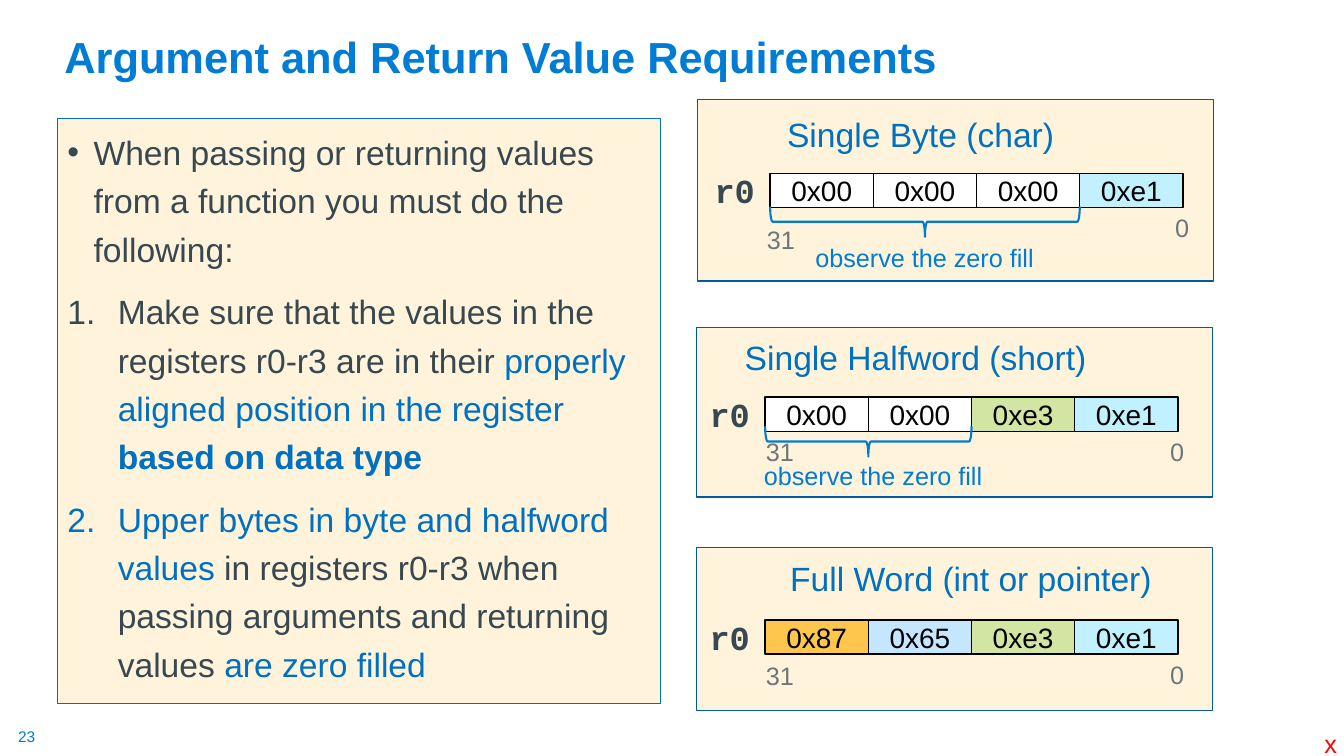
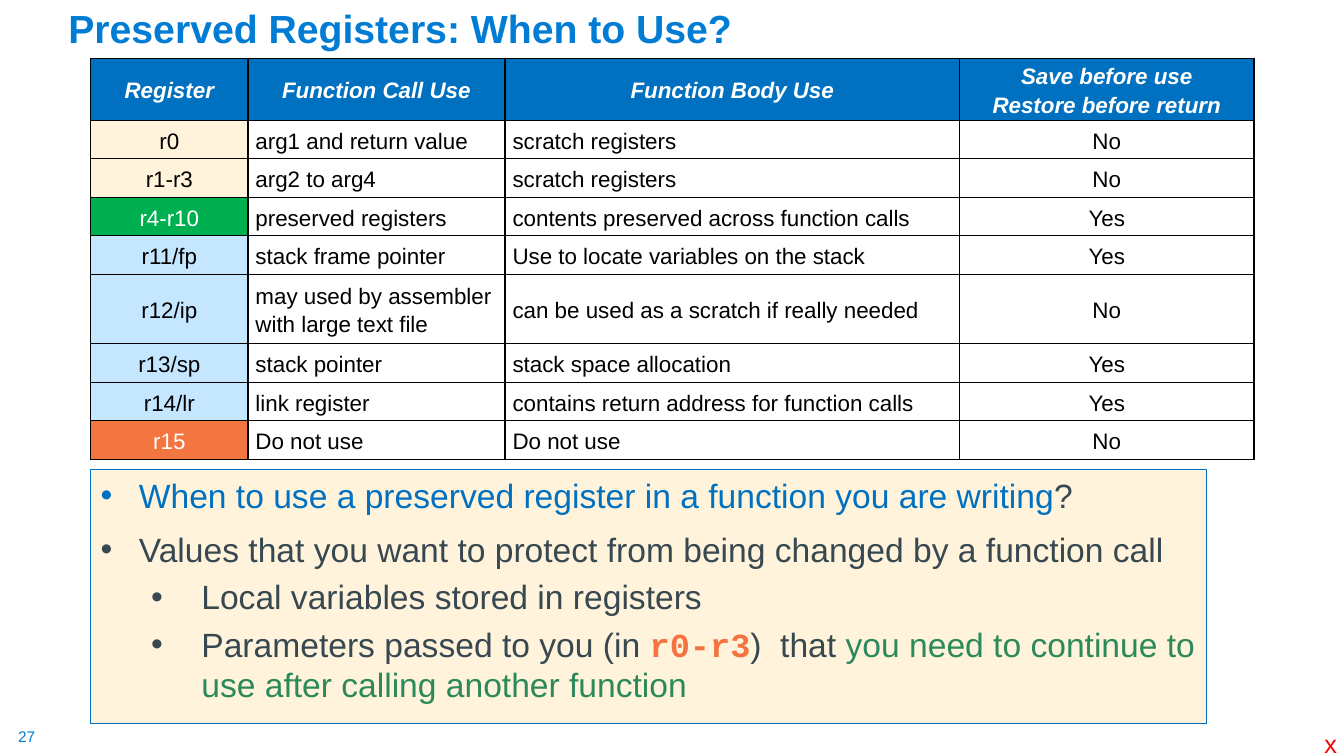
import pptx
import pptx.util
import pptx.dml.color
import pptx.enum.shapes
import pptx.enum.text
import pptx.oxml
import pptx.oxml.ns
import lxml.etree


class Theme:
    sky, blue, navy = "007CD5", "0070C0", "005C9E"
    ink, gray, black, white, red = "384851", "6B767D", "000000", "FFFFFF", "FF0000"
    cream, aqua, ice, gold = "FFF4DB", "C1F0FF", "C4E6FF", "FEC64D"
    lime, green, leaf, coral, rust = "92D050", "00B050", "2C895B", "F37440", "F3753F"
    sans, mono = "Arial", "Courier New"
    tiny, table, label, byte, body = 11, 16, 18, 20, 24


Form = pptx.enum.shapes.MSO_SHAPE
Align = pptx.enum.text.PP_ALIGN
Anchor = pptx.enum.text.MSO_ANCHOR
Fit = pptx.enum.text.MSO_AUTO_SIZE
Point = pptx.util.Pt
Rgb = pptx.dml.color.RGBColor.from_string
name = pptx.oxml.ns.qn
unit = pptx.util.Inches(0.1)


def write(frame, *runs, align=None, space=None, before=None, mark=None, left=0, hang=0, level=0, **look):
    para = frame.paragraphs[0]
    if para.runs:
        para = frame.add_paragraph()
    para.alignment, para.level = align, level
    if space:
        para.line_spacing = space
    if before:
        para.space_before = Point(before)
    if mark:
        props = para._p.get_or_add_pPr()
        props.set("marL", str(int(left * unit)))
        props.set("indent", str(int(-hang * unit)))
        lxml.etree.SubElement(props, name("a:buFont"), typeface=Theme.sans)
        if mark == "•":
            lxml.etree.SubElement(props, name("a:buChar"), char=mark)
        else:
            lxml.etree.SubElement(props, name("a:buAutoNum"), type=mark)
    base = dict(size=Theme.body, color=Theme.ink, face=Theme.sans, bold=False, slant=False)
    for part in runs:
        words, extra = (part, {}) if isinstance(part, str) else part
        style = {**base, **look, **extra}
        run = para.add_run()
        run.text = words
        run.font.size, run.font.name = Point(style["size"]), style["face"]
        run.font.bold, run.font.italic = style["bold"], style["slant"]
        run.font.color.rgb = Rgb(style["color"])


def box(host, at, form=None, fill=None, line=None, width=1, alpha=None, turn=0, wrap=False):
    place = [round(n * unit) for n in at]
    if form is None:
        shape = host.add_textbox(*place)
        shape.text_frame.auto_size = Fit.NONE if wrap else Fit.SHAPE_TO_FIT_TEXT
    else:
        shape = host.add_shape(form, *place)
        shape.shadow.inherit = False
        shape.line.color.rgb = Rgb(line)
        shape.line.width = Point(width)
        if fill:
            shape.fill.solid()
            shape.fill.fore_color.rgb = Rgb(fill)
        else:
            shape.fill.background()
        if alpha:
            tint = shape.fill._xPr.find(".//" + name("a:srgbClr"))
            lxml.etree.SubElement(tint, name("a:alpha"), val=str(alpha * 1000))
    shape.rotation = turn
    shape.text_frame.word_wrap = wrap
    return shape


deck = pptx.Presentation()
deck.slide_width, deck.slide_height = round(133.33 * unit), 75 * unit

slides = []
for title, size, at, page in [
    ("Argument and Return Value Requirements", 31, (5.4, 0.9, 115, 7.8), "23"),
    ("Preserved Registers: When to Use?", 28, (5.8, 0.7, 127, 4.9), "27"),
]:
    slide = deck.slides.add_slide(deck.slide_layouts[6])
    slides.append(slide.shapes)
    head = box(slide.shapes, at, wrap=True).text_frame
    head.vertical_anchor = Anchor.BOTTOM
    write(head, title, size=size, color=Theme.sky, bold=True, space=0.9)
    foot = box(slide.shapes, (1.8, 72.1, 1.9, 1.9)).text_frame
    foot.margin_left = foot.margin_right = foot.margin_top = foot.margin_bottom = 0
    write(foot, page, size=Theme.tiny, color=Theme.sky)
    write(box(slide.shapes, (130.4, 71.8, 3.3, 4)).text_frame, "x", size=Theme.label, color=Theme.red)
rules, uses = slides

blue = dict(color=Theme.blue)
body = box(rules, (5.7, 11.8, 59.8, 58), Form.RECTANGLE, Theme.cream, Theme.blue, 0.75, wrap=True).text_frame
body.vertical_anchor = Anchor.TOP
item = dict(align=Align.LEFT, space=1.2, before=10)
step = dict(item, mark="arabicPeriod", left=5, hang=5)
write(body, "When passing or returning values from a function you must do the following:",
      mark="•", left=2.6, hang=2.6, **item)
write(body, "Make sure that the values in the registers r0-r3 are in their ",
      ("properly aligned position in the register ", blue),
      ("based on data type", dict(blue, bold=True)), **step)
write(body, ("Upper bytes in byte and halfword values", blue),
      " in registers r0-r3 when passing arguments and returning values ",
      ("are zero filled", blue), **step)

zero, low = ("0x00", Theme.white, None), ("0xe1", Theme.aqua, None)
mid = ("0xe3", Theme.lime, 40)
cell, tall, deep = 10.24, 3.4, 3
panels = [
    ("Single Byte (char)", (77.1, 10.8, 28.8, 5), (69.2, 9.9, 51.2, 18), 76.4, 17.2, (75.1, 21.8),
     [zero, zero, zero, low], 3, 20.5, (79.9, 23.6)),
    ("Single Halfword (short)", (72.9, 32.9, 36.3, 5), (69.1, 32.5, 51.2, 16.8), 75.9, 39.4, (75, 42.8),
     [zero, zero, mid, low], 2, 42.3, (74.8, 45.2)),
    ("Full Word (int or pointer)", (77.4, 54.9, 40, 5), (69.1, 54.3, 51.2, 16.2), 75.9, 61.5, (75, 65),
     [("0x87", Theme.gold, None), ("0x65", Theme.ice, None), mid, low], 0, None, None),
]
for title, spot, at, left, top, high, cells, blank, brace, note in panels:
    box(rules, at, Form.RECTANGLE, Theme.cream, Theme.navy)
    group = rules.add_group_shape().shapes
    for i, (value, fill, alpha) in enumerate(cells):
        frame = box(group, (left + i * cell, top, cell, tall), Form.RECTANGLE,
                    fill, Theme.black, alpha=alpha, wrap=True).text_frame
        frame.vertical_anchor = Anchor.MIDDLE
        write(frame, value, size=Theme.byte, color=Theme.black, align=Align.CENTER)
    gray = dict(size=Theme.label, color=Theme.gray)
    write(box(group, spot, wrap=True).text_frame, title, **blue)
    for words, place, look in [
        ("0", (left + 39.2, top + tall, 3.4, 4), gray),
        ("31", (*high, 4.8, 4), gray),
        ("r0", (left - 6.5, top - 0.8, 6.1, 5), dict(face=Theme.mono, bold=True)),
    ]:
        write(box(group, place).text_frame, words, **look)
    if blank:
        span = blank * cell
        box(group, (left + (span - deep) / 2, brace + (deep - span) / 2, deep, span),
            Form.RIGHT_BRACE, line=Theme.sky, width=1.5, turn=90)
        write(box(group, (*note, 24.7, 4)).text_frame, "observe the zero fill",
              size=Theme.label, color=Theme.sky)

body = box(uses, (9, 46.6, 110.7, 25.2), Form.RECTANGLE, Theme.cream, Theme.blue, 0.75, wrap=True).text_frame
body.vertical_anchor = Anchor.TOP
main = dict(align=Align.LEFT, before=10, mark="•", left=3.8, hang=3.8)
sub = dict(main, before=5, left=10, hang=5, level=1)
write(body, ("When to use a preserved register in a function you are writing", blue), "?", **main)
write(body, "Values that you want to protect from being changed by a function call", **main)
write(body, "Local variables stored in registers", **sub)
write(body, "Parameters passed to you (in ",
      ("r0-r3", dict(face=Theme.mono, color=Theme.coral, bold=True)), ")  that ",
      ("you need to continue to use after calling another function", dict(color=Theme.leaf)), **sub)

rows = [
    ("Register", "Function Call Use", "Function Body Use", "Save before use\nRestore before return", Theme.blue),
    ("r0", "arg1 and return value", "scratch registers", "No", Theme.cream),
    ("r1-r3", "arg2 to arg4", "scratch registers", "No", Theme.cream),
    ("r4-r10", "preserved registers", "contents preserved across function calls", "Yes", Theme.green),
    ("r11/fp", "stack frame pointer", "Use to locate variables on the stack", "Yes", Theme.ice),
    ("r12/ip", "may used by assembler with large text file",
     "can be used as a scratch if really needed", "No", Theme.ice),
    ("r13/sp", "stack pointer", "stack space allocation", "Yes", Theme.ice),
    ("r14/lr", "link register", "contains return address for function calls", "Yes", Theme.ice),
    ("r15", "Do not use", "Do not use", "No", Theme.rust),
]
wide = [15.6, 25.5, 45.1, 29.2]
place = [round(n * unit) for n in (9, 5.8, sum(wide), 37.8)]
grid = uses.add_table(len(rows), len(wide), *place).table
grid.first_row = grid.horz_banding = False
for col, size in zip(grid.columns, wide):
    col.width = round(size * unit)
for r, (*texts, tint) in enumerate(rows):
    grid.rows[r].height = round((3.6 if r else 3.1) * unit)
    for c, words in enumerate(texts):
        spot = grid.cell(r, c)
        spot.vertical_anchor = Anchor.MIDDLE
        spot.margin_left = spot.margin_right = round(0.75 * unit) if r else 0
        spot.margin_top = spot.margin_bottom = round(0.38 * unit) if r else 0
        props = spot._tc.get_or_add_tcPr()
        for side in ("a:lnL", "a:lnR", "a:lnT", "a:lnB"):
            edge = lxml.etree.SubElement(props, name(side), w=str(Point(1)))
            paint = lxml.etree.SubElement(edge, name("a:solidFill"))
            lxml.etree.SubElement(paint, name("a:srgbClr"), val=Theme.black)
        spot.fill.solid()
        spot.fill.fore_color.rgb = Rgb(tint if r == 0 or c == 0 else Theme.white)
        pale = r == 0 or c == 0 and tint in (Theme.green, Theme.rust)
        for line in words.split("\n"):
            write(spot.text_frame, line, size=Theme.table, space=1.15,
                  color=Theme.white if pale else Theme.black, bold=r == 0, slant=r == 0,
                  align=Align.CENTER if r == 0 or c in (0, 3) else Align.LEFT)

deck.save("out.pptx")
